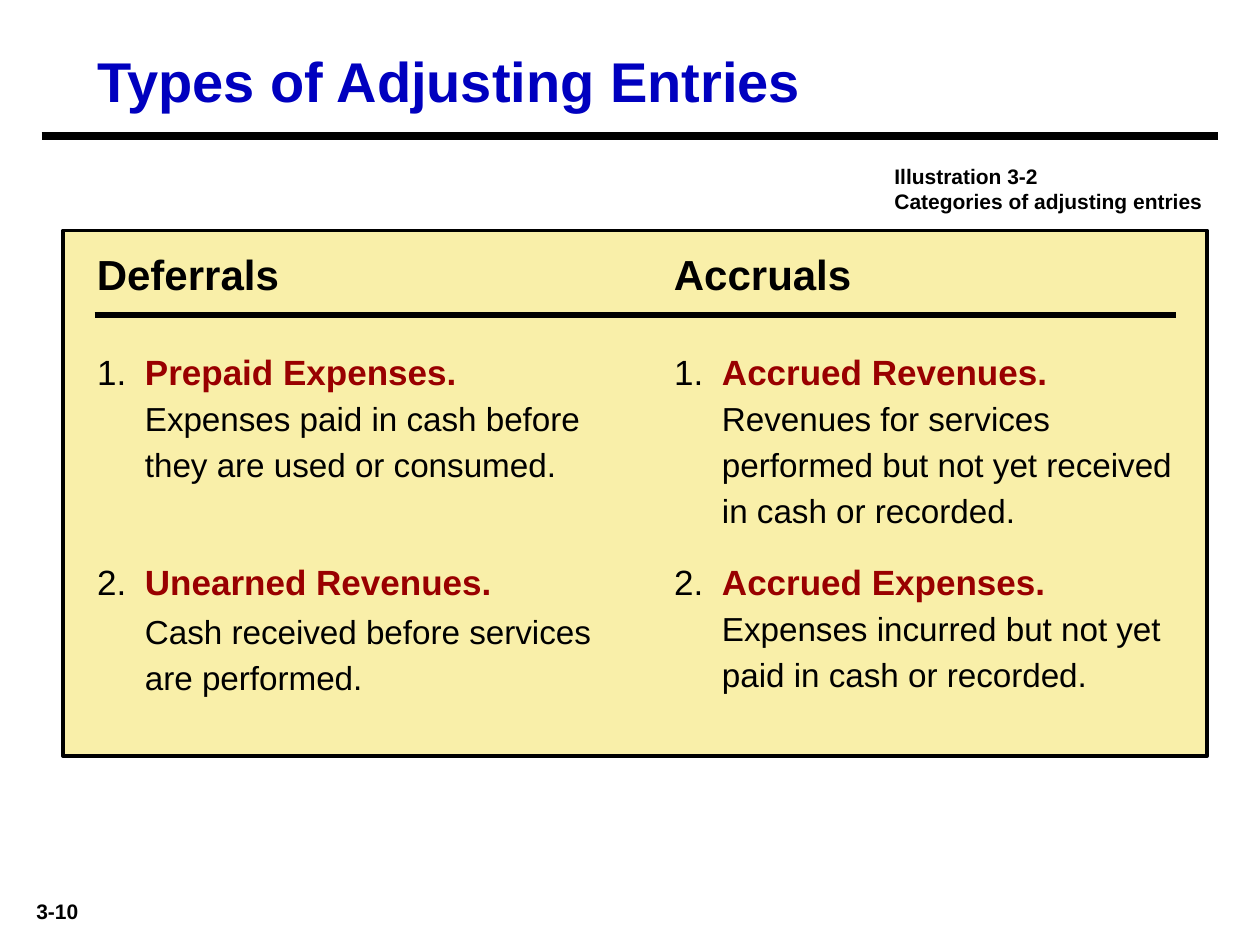
"""Build the slide on types of adjusting entries."""
import pptx
import pptx.dml.color
import pptx.enum.shapes
import pptx.enum.text
import pptx.oxml.ns
import pptx.util
from lxml import etree
from pptx.util import Inches

RGBColor = pptx.dml.color.RGBColor
BLACK = RGBColor(0x00, 0x00, 0x00)
WHITE = RGBColor(0xFF, 0xFF, 0xFF)
BLUE = RGBColor(0x00, 0x00, 0xBF)
RED = RGBColor(0x99, 0x00, 0x00)
CREAM = RGBColor(0xF9, 0xEF, 0xA9)
LEFT = pptx.enum.text.PP_ALIGN.LEFT
CENTER = pptx.enum.text.PP_ALIGN.CENTER
TOP = pptx.enum.text.MSO_ANCHOR.TOP
MIDDLE = pptx.enum.text.MSO_ANCHOR.MIDDLE

COLUMNS = [
    (0.67, "Deferrals", [
        [[("1.\t", "number"), ("Prepaid Expenses. ", "term"),
          ("Expenses paid in cash before they are used or consumed.", "body")]],
        [[("2.\t", "number"), ("Unearned Revenues.", "term")],
         [("\t", "number"), ("Cash received before services are performed.", "body")]],
    ]),
    (5.25, "Accruals", [
        [[("1.\t", "number"), ("Accrued Revenues. ", "term"),
          ("Revenues for services performed but not yet received in cash or recorded.",
           "body")]],
        [[("2.\t", "number"), ("Accrued Expenses. ", "term"),
          ("Expenses incurred but not yet paid in cash or recorded.", "body")]],
    ]),
]


class SlideBuilder:
    """Hold the text styles and the current slide."""

    STYLES = {
        "title": (32, True, BLUE),
        "heading": (24, True, BLACK),
        "number": (20, False, BLACK),
        "term": (20, True, RED),
        "body": (19, False, BLACK),
        "small": (12, True, BLACK),
    }

    def __init__(self, s):
        self.s = s

    def place(self, sp, box):
        """Move a shape to a box given in inches."""
        for name, value in zip(("left", "top", "width", "height"), box):
            setattr(sp, name, Inches(value))

    def fill_text(self, sp, paragraphs, anchor=TOP, wrap=True, margin_top=0.05, **values):
        """Fill a shape with paragraphs of styled runs."""
        tf = sp.text_frame
        frame = {"word_wrap": wrap, "vertical_anchor": anchor,
                 "auto_size": pptx.enum.text.MSO_AUTO_SIZE.NONE,
                 "margin_left": Inches(0.1), "margin_right": Inches(0.1),
                 "margin_top": Inches(margin_top), "margin_bottom": Inches(0.05)}
        for name, value in frame.items():
            setattr(tf, name, value)
        for i, runs in enumerate(paragraphs):
            p = tf.add_paragraph() if i else tf.paragraphs[0]
            for name, value in ({"alignment": LEFT, "space_before": 0} | values).items():
                setattr(p, name, value)
            for text, style in runs:
                r = p.add_run()
                r.text = text
                size, bold, color = self.STYLES[style]
                font = {"name": "Arial", "size": pptx.util.Pt(size), "bold": bold}
                for name, value in font.items():
                    setattr(r.font, name, value)
                r.font.color.rgb = color

    def title(self, text, box):
        """Place and fill the title placeholder."""
        sp = self.s.shapes.title
        self.place(sp, box)
        self.fill_text(sp, [[(text, "title")]], MIDDLE)

    def entry(self, idx, paragraphs, box):
        """Place and fill a body placeholder with a hanging indent."""
        sp = self.s.placeholders[idx]
        self.place(sp, box)
        self.fill_text(sp, paragraphs, margin_top=0.15, line_spacing=1.15)
        for p in sp.text_frame.paragraphs:
            pPr = p._p.get_or_add_pPr()
            pPr.set("marL", str(Inches(0.38)))
            pPr.set("indent", str(Inches(-0.38)))
            etree.SubElement(pPr, pptx.oxml.ns.qn("a:buNone"))

    def text(self, lines, style, box, **values):
        """Add a text box."""
        sp = self.s.shapes.add_textbox(*map(Inches, box))
        self.fill_text(sp, [[(line, style)] for line in lines], **values)
        return sp

    def panel(self, box, color):
        """Add an outlined rectangle behind everything else."""
        shapes = self.s.shapes
        sp = shapes.add_shape(pptx.enum.shapes.MSO_SHAPE.RECTANGLE, *map(Inches, box))
        sp.shadow.inherit = False
        sp.fill.solid()
        sp.fill.fore_color.rgb = color
        sp.line.color.rgb = BLACK
        sp.line.width = pptx.util.Pt(2.25)
        shapes._spTree.insert(2, sp._element)

    def rule(self, left, right, top, width):
        """Add a horizontal line."""
        line = self.s.shapes.add_connector(
            pptx.enum.shapes.MSO_CONNECTOR.STRAIGHT,
            Inches(left), Inches(top), Inches(right), Inches(top))
        line.line.color.rgb = BLACK
        line.line.width = pptx.util.Pt(width)
        etree.SubElement(line._element.spPr, pptx.oxml.ns.qn("a:effectLst"))


def main():
    """Build and save the presentation."""
    prs = pptx.Presentation()
    prs.slide_width, prs.slide_height = Inches(10), Inches(7.5)
    b = SlideBuilder(prs.slides.add_slide(prs.slide_layouts.get_by_name("Comparison")))
    b.title("Types of Adjusting Entries", (0.67, 0.33, 9, 0.61))
    b.rule(0.33, 9.67, 1.08, 4.5)
    caption = b.text(["Illustration 3-2", "Categories of adjusting entries"], "small",
                     (7, 1.25, 2.75, 0.5))
    caption.fill.solid()
    caption.fill.fore_color.rgb = WHITE
    b.panel((0.5, 1.83, 9.08, 4.17), CREAM)
    b.rule(0.75, 9.33, 2.5, 3)
    for col, (left, heading, entries) in enumerate(COLUMNS):
        b.text([heading], "heading", (left, 1.92, 3.17, 0.5), anchor=MIDDLE, wrap=False)
        for row, paragraphs in enumerate(entries):
            b.entry(1 + 2 * col + row, paragraphs, (left, 2.58 + 1.67 * row, 4.17, 1.75))
    b.text(["3-10"], "small", (0.08, 7.08, 0.75, 0.3), alignment=CENTER)
    prs.save("out.pptx")


if __name__ == "__main__":
    main()
